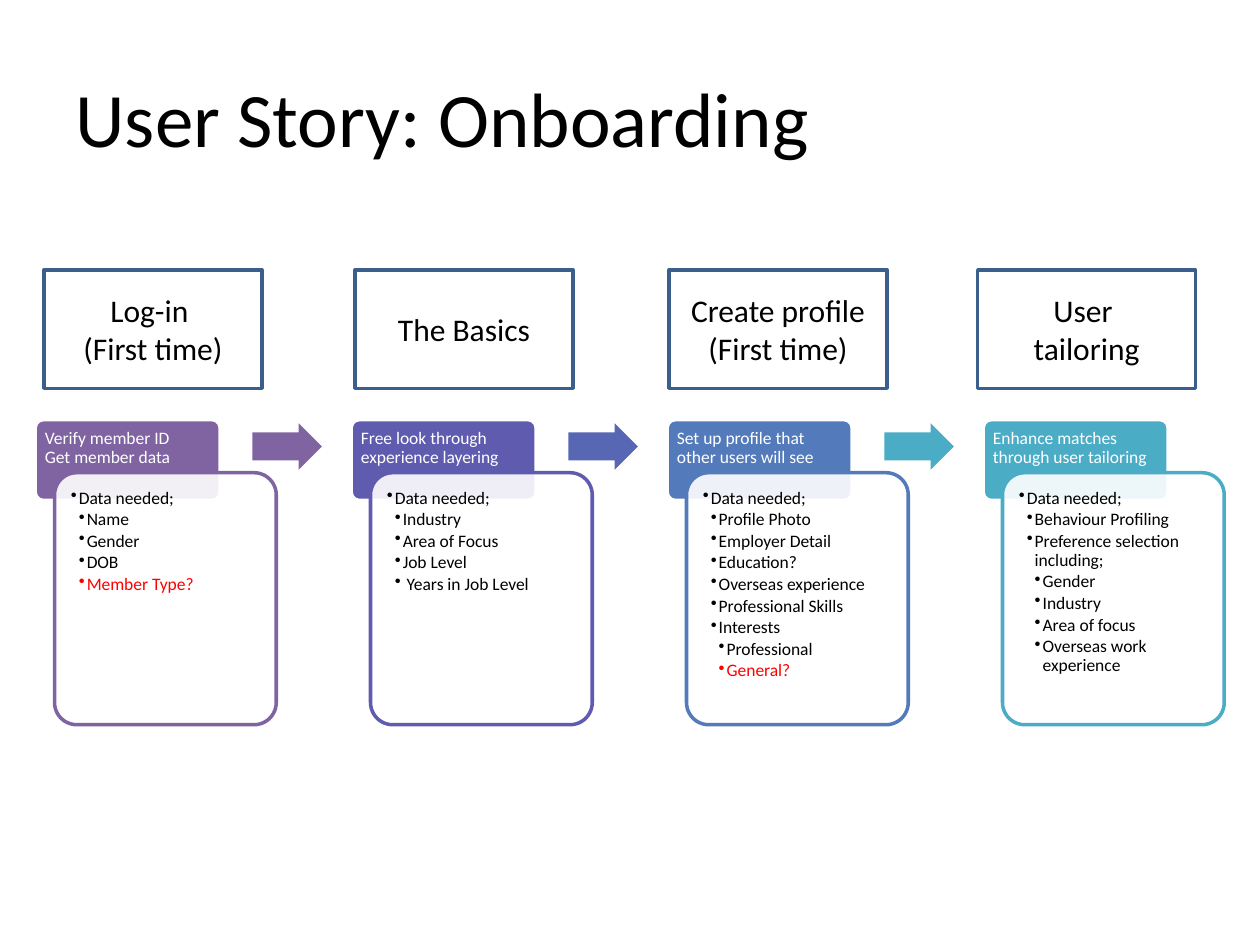
from typing import NamedTuple

from lxml import etree
from pptx import Presentation
from pptx.dml.color import RGBColor
from pptx.enum.shapes import MSO_SHAPE
from pptx.enum.text import MSO_ANCHOR, PP_ALIGN
from pptx.oxml.ns import qn
from pptx.util import Cm, Pt

RECT = MSO_SHAPE.RECTANGLE
ROUND = MSO_SHAPE.ROUNDED_RECTANGLE
ARROW = MSO_SHAPE.RIGHT_ARROW
TOP = MSO_ANCHOR.TOP
MIDDLE = MSO_ANCHOR.MIDDLE
LEFT = PP_ALIGN.LEFT
CENTER = PP_ALIGN.CENTER

FONT = "Calibri"
BLACK = RGBColor(0x00, 0x00, 0x00)
WHITE = RGBColor(0xFF, 0xFF, 0xFF)
RED = RGBColor(0xFF, 0x00, 0x00)
NAVY = RGBColor(0x3A, 0x5F, 0x8C)
PURPLE = RGBColor(0x80, 0x64, 0xA2)
VIOLET = RGBColor(0x5F, 0x5B, 0xAE)
INDIGO = RGBColor(0x57, 0x67, 0xB4)
BLUE = RGBColor(0x53, 0x7A, 0xBA)
TEAL = RGBColor(0x4B, 0xAC, 0xC6)

START, PITCH = 0.71, 6.37
INDENT = 0.16


class Item(NamedTuple):
    text: str
    depth: int = 2
    color: RGBColor = BLACK


class Stage(NamedTuple):
    left: float
    name: str
    goal: str
    color: RGBColor
    arrow: RGBColor | None
    items: list[Item]


NEED = Item("Data needed;", 1)
STAGES = [
    Stage(0.89, "Log-in \n(First time)", "Verify member ID\vGet member data", PURPLE, PURPLE,
          [NEED, Item("Name"), Item("Gender"), Item("DOB"), Item("Member Type?", 2, RED)]),
    Stage(7.16, "The Basics", "Free look through experience layering", VIOLET, INDIGO,
          [NEED, Item("Industry"), Item("Area of Focus"), Item("Job Level"),
           Item(" Years in Job Level")]),
    Stage(13.49, "Create profile\n(First time)", "Set up profile that other users will see",
          BLUE, TEAL,
          [NEED, Item("Profile Photo"), Item("Employer Detail"), Item("Education?"),
           Item("Overseas experience"), Item("Professional Skills"), Item("Interests"),
           Item("Professional", 3), Item("General?", 3, RED)]),
    Stage(19.71, "User \ntailoring", "Enhance matches through user tailoring", TEAL, None,
          [NEED, Item("Behaviour Profiling"), Item("Preference selection including;"),
           Item("Gender", 3), Item("Industry", 3), Item("Area of focus", 3),
           Item("Overseas work experience", 3)]),
]


def add_shape(kind: MSO_SHAPE, left: float, top: float, width: float, height: float,
              fill: RGBColor | None, line: RGBColor | None):
    shape = slide.shapes.add_shape(kind, Cm(left), Cm(top), Cm(width), Cm(height))
    shape.shadow.inherit = False
    if fill is None:
        shape.fill.background()
    else:
        shape.fill.solid()
        shape.fill.fore_color.rgb = fill
    if line is None:
        shape.line.fill.background()
    else:
        shape.line.color.rgb = line
        shape.line.width = Pt(2)
    return shape


def style(para, size: float, color: RGBColor, align: PP_ALIGN = LEFT) -> None:
    para.alignment = align
    for run in para.runs:
        run.font.name = FONT
        run.font.size = Pt(size)
        run.font.color.rgb = color


def set_text(shape, text: str, size: float, color: RGBColor, align: PP_ALIGN,
             anchor: MSO_ANCHOR) -> None:
    frame = shape.text_frame
    frame.text = text
    frame.vertical_anchor = anchor
    for para in frame.paragraphs:
        style(para, size, color, align)


def set_inset(shape, side: float, top: float) -> None:
    frame = shape.text_frame
    frame.margin_left = frame.margin_right = Cm(side)
    frame.margin_top = frame.margin_bottom = Cm(top)


def set_list(shape, items: list[Item]) -> None:
    frame = shape.text_frame
    frame.text = "\n".join(item.text for item in items)
    frame.vertical_anchor = TOP
    for para, item in zip(frame.paragraphs, items):
        style(para, 10, item.color)
        para.level = item.depth
        para.line_spacing = 0.9
        para.space_after = Pt(1.5)
        props = para._p.get_or_add_pPr()
        props.set("marL", str(Cm(INDENT * item.depth)))
        props.set("indent", str(-Cm(INDENT)))
        etree.SubElement(props, qn("a:buChar")).set("char", "•")


def add_stage(stage: Stage, left: float) -> None:
    head = add_shape(ROUND, left, 8.46, 3.73, 1.63, stage.color, WHITE)
    head.adjustments[0] = 0.1
    set_inset(head, 0.15, 0.15)
    set_text(head, stage.goal, 10, WHITE, LEFT, TOP)
    head.text_frame.paragraphs[0].line_spacing = 0.9

    panel = add_shape(ROUND, left + 0.39, 9.53, 4.47, 5.08, WHITE, stage.color)
    panel.adjustments[0] = 0.1
    tint = panel.fill._xPr.find(qn("a:solidFill"))[0]
    etree.SubElement(tint, qn("a:alpha")).set("val", "90000")
    set_inset(panel, 0.2, 0.2)
    set_list(panel, stage.items)

    if stage.arrow is not None:
        arrow = add_shape(ARROW, left + 4.38, 8.53, 1.4, 0.94, stage.arrow, None)
        arrow.adjustments[0] = 0.6


deck = Presentation()
deck.slide_width, deck.slide_height = Cm(25.4), Cm(19.05)
slide = deck.slides.add_slide(deck.slide_layouts[5])

title = slide.shapes.title
title.left, title.top, title.width, title.height = Cm(1.27), Cm(0.76), Cm(22.86), Cm(3.18)
set_text(title, "User Story: Onboarding", 44, BLACK, LEFT, MIDDLE)

for stage in STAGES:
    box = add_shape(RECT, stage.left, 5.44, 4.39, 2.39, None, NAVY)
    set_text(box, stage.name, 18, BLACK, CENTER, MIDDLE)

for index, stage in enumerate(STAGES):
    add_stage(stage, START + PITCH * index)

deck.save("out.pptx")
